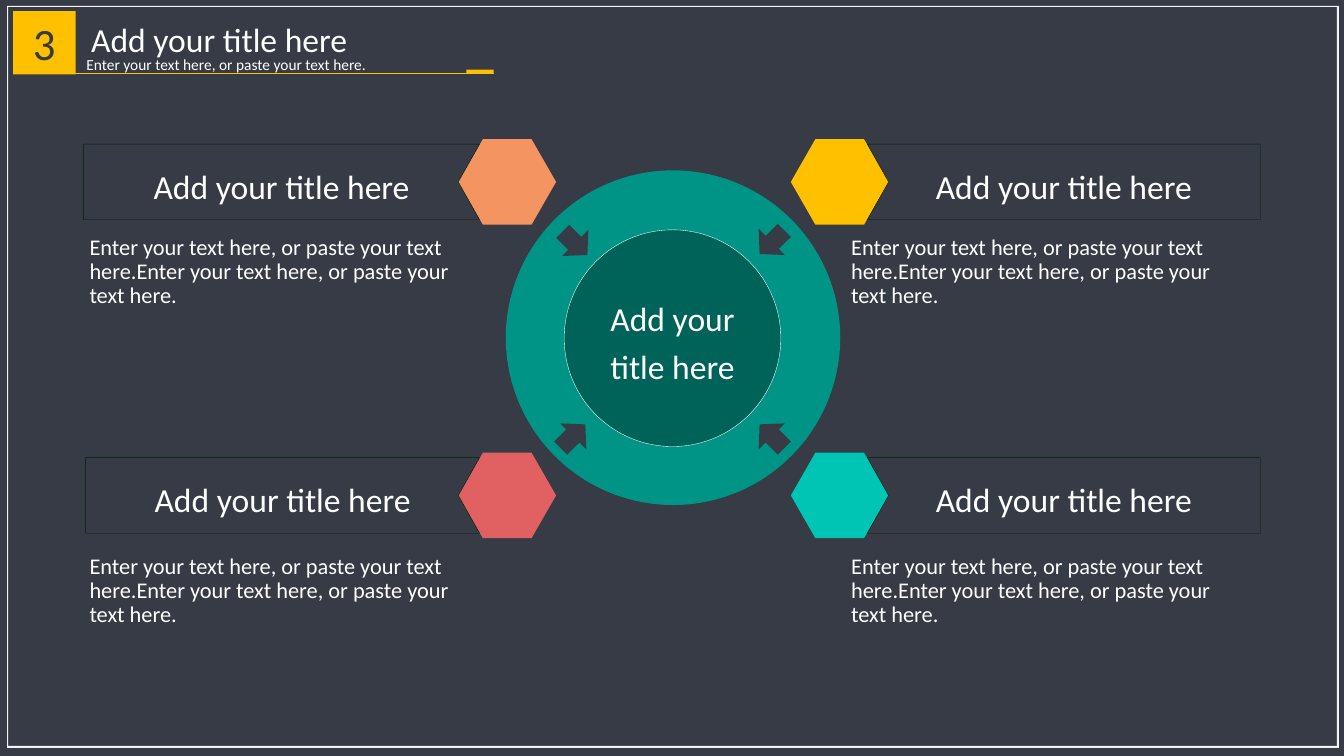
from dataclasses import dataclass

from lxml import etree
from pptx import Presentation
from pptx.dml.color import RGBColor
from pptx.enum.shapes import MSO_CONNECTOR, MSO_SHAPE
from pptx.enum.text import MSO_ANCHOR, PP_ALIGN
from pptx.oxml.ns import qn
from pptx.util import Inches, Pt

RECTANGLE, OVAL, HEXAGON = MSO_SHAPE.RECTANGLE, MSO_SHAPE.OVAL, MSO_SHAPE.HEXAGON
STRAIGHT = MSO_CONNECTOR.STRAIGHT
LEFT, CENTER = PP_ALIGN.LEFT, PP_ALIGN.CENTER
TOP, MIDDLE = MSO_ANCHOR.TOP, MSO_ANCHOR.MIDDLE

HEADING = "Add your title here"
SENTENCE = "Enter your text here, or paste your text here."


@dataclass(frozen=True)
class Theme:
    """Colours, font and type sizes of the slide."""

    background: str = "363B45"
    frame: str = "F3F3F5"
    white: str = "FFFFFF"
    yellow: str = "FFC000"
    orange: str = "F49461"
    red: str = "E16162"
    aqua: str = "00C5B4"
    ring: str = "009487"
    core: str = "00635A"
    outline: str = "002003"
    font: str = "Calibri"
    number: int = 32
    title: int = 24
    body: int = 16
    caption: int = 11
    hairline: float = 0.25


THEME = Theme()


def write(shape, text, size=THEME.title, color=THEME.white, align=CENTER,
          anchor=MIDDLE, spacing=1.2, insets=(0, 0)):
    """Put one formatted paragraph into a shape."""
    frame = shape.text_frame
    frame.word_wrap = True
    frame.vertical_anchor = anchor
    frame.margin_left = frame.margin_right = Inches(insets[0])
    frame.margin_top = frame.margin_bottom = Inches(insets[1])
    para = frame.paragraphs[0]
    para.alignment = align
    para.line_spacing = spacing
    span = para.add_run()
    span.text = text
    span.font.name = THEME.font
    span.font.size = Pt(size)
    span.font.color.rgb = RGBColor.from_string(color)


def paint(shape, fill=None, line=None):
    """Set the fill and the thin outline of a shape."""
    shape.shadow.inherit = False
    if fill:
        shape.fill.solid()
        shape.fill.fore_color.rgb = RGBColor.from_string(fill)
    else:
        shape.fill.background()
    if line:
        shape.line.color.rgb = RGBColor.from_string(line)
        shape.line.width = Pt(THEME.hairline)
    else:
        shape.line.fill.background()
    return shape


def add_preset(page, kind, bounds, fill, line=None):
    """Add a painted preset shape."""
    shape = page.shapes.add_shape(kind, *map(Inches, bounds))
    return paint(shape, fill, line)


def add_outline(page, contours, fill=None, line=None):
    """Add a painted freeform made of closed contours."""
    contours = [[(Inches(x), Inches(y)) for x, y in contour] for contour in contours]
    builder = page.shapes.build_freeform(*contours[0][0])
    for index, contour in enumerate(contours):
        if index:
            builder.move_to(*contour[0])
        builder.add_line_segments(contour[1:], close=True)
    return paint(builder.convert_to_shape(), fill, line)


def add_text(page, bounds, text, **style):
    """Add a text box with standard insets."""
    box = page.shapes.add_textbox(*map(Inches, bounds))
    write(box, text, insets=(0.1, 0.05), **style)


def add_rule(page, start, end, color, width):
    """Add a straight line without shadow."""
    rule = page.shapes.add_connector(STRAIGHT, *map(Inches, start + end))
    rule.line.color.rgb = RGBColor.from_string(color)
    rule.line.width = Pt(width)
    etree.SubElement(rule._element.spPr, qn("a:effectLst"))


def add_frame(page):
    """Add the thin border around the slide."""
    outer = [(0.07, 0.06), (13.29, 0.06), (13.29, 7.42), (0.07, 7.42)]
    inner = [(0.08, 0.07), (0.08, 7.4), (13.27, 7.4), (13.27, 0.07)]
    add_outline(page, [outer, inner], THEME.frame)


def add_header(page):
    """Add the section number, title, caption and rule."""
    badge = add_preset(page, RECTANGLE, (0.13, 0.11, 0.62, 0.63), THEME.yellow)
    write(badge, "3", size=THEME.number, color=THEME.background,
          spacing=1.0, insets=(0.1, 0.05))
    add_text(page, (0.68, 0.09, 2.99, 0.55), HEADING, spacing=1.1)
    add_text(page, (0.76, 0.5, 3.86, 0.59), SENTENCE, size=THEME.caption,
             align=LEFT, anchor=TOP, spacing=1.0)
    add_rule(page, (4.9, 0.73), (0.68, 0.73), THEME.yellow, 0.5)
    add_preset(page, RECTANGLE, (4.63, 0.69, 0.27, 0.04), THEME.yellow)


def add_ring(page):
    """Add the ring with four arrows pointing at its centre."""
    add_preset(page, OVAL, (5.02, 1.69, 3.32, 3.32), THEME.ring)
    arrow = [(1.11, 0.84), (0.86, 0.85), (0.85, 1.1), (0.92, 1.03),
             (1.04, 1.15), (1.17, 1.02), (1.05, 0.9)]
    for x, y, across, down in ((6.69, 3.38, -1, -1), (6.68, 3.37, 1, -1),
                               (6.67, 3.36, -1, 1), (6.68, 3.36, 1, 1)):
        points = [(x + across * dx, y + down * dy) for dx, dy in arrow]
        add_outline(page, [points], THEME.background)


def add_banner(page, outer, inner, notch, top):
    """Add a titled outline notched around its hexagon."""
    points = [(outer, top), (inner, top), (notch, top + 0.375),
              (inner, top + 0.75), (outer, top + 0.75)]
    write(add_outline(page, [points], line=THEME.outline), HEADING)


def add_topic(page, top, text_top, hexagon_left, color, banner, text_left):
    """Add one hexagon with its banner and body text."""
    hexagon = add_preset(page, HEXAGON, (hexagon_left, top, 0.97, 0.85), color)
    hexagon.adjustments[0] = 0.287
    add_banner(page, *banner, top + 0.05)
    add_text(page, (text_left, text_top, 4.15, 1.28), SENTENCE * 2,
             size=THEME.body, align=LEFT, anchor=TOP, spacing=0.9)


def main():
    """Build and save the slide."""
    deck = Presentation()
    deck.slide_width, deck.slide_height = Inches(13.34), Inches(7.5)
    page = deck.slides.add_slide(deck.slide_layouts[6])
    page.background.fill.solid()
    page.background.fill.fore_color.rgb = RGBColor.from_string(THEME.background)
    add_frame(page)
    add_header(page)
    add_ring(page)
    rows = ((1.38, 2.29, 0.83, THEME.orange, THEME.yellow),
            (4.49, 5.46, 0.85, THEME.red, THEME.aqua))
    for top, text_top, left_edge, left_color, right_color in rows:
        add_topic(page, top, text_top, 4.55, left_color, (left_edge, 4.76, 4.55), 0.79)
        add_topic(page, top, text_top, 7.85, right_color, (12.51, 8.61, 8.82), 8.35)
    core = add_preset(page, OVAL, (5.6, 2.28, 2.15, 2.15), THEME.core, THEME.white)
    write(core, HEADING)
    deck.save("out.pptx")


if __name__ == "__main__":
    main()
